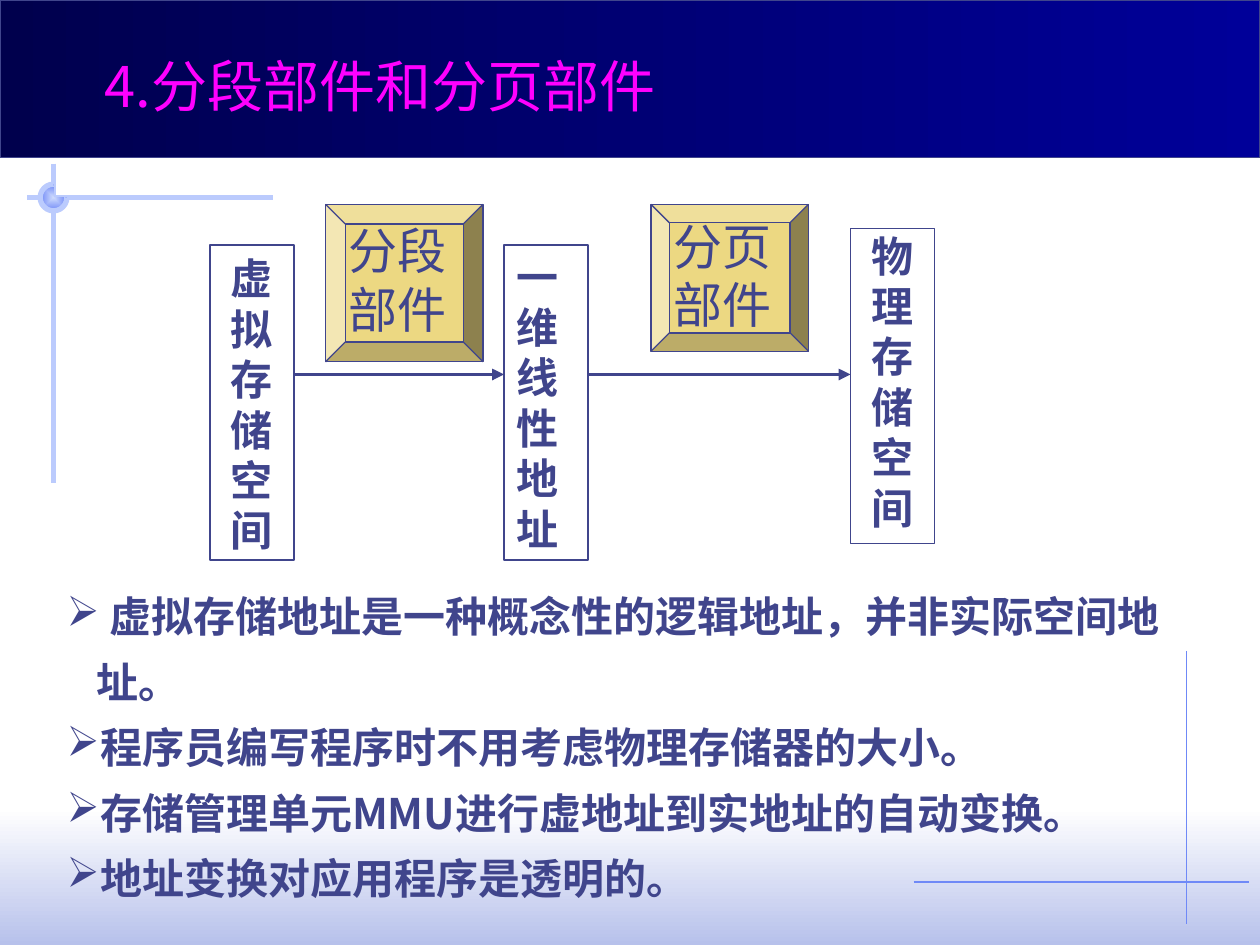
"""Build the slide on the segmentation and paging units."""
import pptx
import pptx.util
import pptx.dml.color
import pptx.enum.shapes
import pptx.oxml
import pptx.oxml.ns
import lxml.etree

Pt = pptx.util.Pt
KIND = pptx.enum.shapes.MSO_SHAPE
qn = pptx.oxml.ns.qn

HUE = {
    "ink": "40458C", "title": "FF00FF", "white": "FFFFFF", "gold": "ECD882",
    "pale": "BBCBFD", "rule": "6F89F7", "mist": "B7C1EB", "glow": "CFDBFD",
    "night": "00004D", "navy": "000099",
}
SANS, SERIF = "Noto Sans CJK SC", "Times New Roman"

TITLE = "4.分段部件和分页部件"
POINTS = [
    " 虚拟存储地址是一种概念性的逻辑地址，并非实际空间地址。",
    "程序员编写程序时不用考虑物理存储器的大小。",
    "存储管理单元MMU进行虚地址到实地址的自动变换。",
    "地址变换对应用程序是透明的。",
]
SPACES = [
    ("虚拟存储空间", (120, 140), (124.75, 141, 43, 180)),
    ("一维线性地址", (288, 140), (288, 140, 49, 180)),
    ("物理存储空间", (486, 130.5), (491, 128, 43, 180)),
]
UNITS = [
    ("分段部件", (186, 116.75, 90, 90), (192, 122.5, 73.5, 75)),
    ("分页部件", (372, 116.75, 90, 84), (378, 120, 79, 75)),
]
WIDE, TALL = 48, 180
FLOW = 214
RULES = [
    ((678, 372, 678, 528), "rule", 0.75),
    ((156, 113, 15.5, 113), "pale", 3),
    ((30.75, 93.5, 30.75, 276), "pale", 3),
]
BASE = ((522, 504, 714, 504), "rule", 0.75)
KNOB = (23, 105.25, 15.25, 15.25)


def rgb(name):
    return pptx.dml.color.RGBColor.from_string(HUE[name])


def shape(slide, kind, box, fill=None, line=None, width=0.75):
    item = slide.shapes.add_shape(kind, *map(Pt, box))
    item.shadow.inherit = False
    if fill is None:
        item.fill.background()
    elif isinstance(fill, tuple):
        item.fill.gradient()
        for stop, name in zip(item.fill.gradient_stops, fill):
            stop.color.rgb = rgb(name)
    else:
        item.fill.solid()
        item.fill.fore_color.rgb = rgb(fill)
    if line:
        item.line.color.rgb = rgb(line)
        item.line.width = Pt(width)
    else:
        item.line.fill.background()
    return item


def rule(slide, ends, hue, width, arrow=False):
    straight = pptx.enum.shapes.MSO_CONNECTOR.STRAIGHT
    item = slide.shapes.add_connector(straight, *map(Pt, ends))
    item.line.color.rgb = rgb(hue)
    item.line.width = Pt(width)
    if arrow:
        line = item.line._get_or_add_ln()
        lxml.etree.SubElement(line, qn("a:tailEnd"), type="triangle")
    lxml.etree.SubElement(item._element.spPr, qn("a:effectLst"))


def label(slide, box, lines, size, font, hue="ink", bold=False, wrap=True, mark=None):
    frame = slide.shapes.add_textbox(*map(Pt, box)).text_frame
    frame.word_wrap = wrap
    frame.text = "\n".join(lines)
    for para in frame.paragraphs:
        if mark:
            props = para._p.get_or_add_pPr()
            props.set("marL", str(Pt(17)))
            props.set("indent", str(-Pt(17)))
            lxml.etree.SubElement(props, qn("a:buChar"), char=mark)
            para.line_spacing = 1.3
        for run in para.runs:
            run.font.size = Pt(size)
            run.font.bold = bold
            run.font.name = font
            run.font.color.rgb = rgb(hue)
            east = lxml.etree.SubElement(run._r.get_or_add_rPr(), qn("a:ea"))
            east.set("typeface", SANS)


def knob(slide):
    core = shape(slide, KIND.PIE, KNOB, ("glow", "rule"))
    grad = core._element.spPr.find(qn("a:gradFill"))
    grad.remove(grad.find(qn("a:lin")))
    way = lxml.etree.SubElement(grad, qn("a:path"), path="rect")
    half = dict.fromkeys("ltrb", "50000")
    lxml.etree.SubElement(way, qn("a:fillToRect"), **half)
    ring = shape(slide, KIND.ARC, KNOB, None, "pale", 3)
    for item in (core, ring):
        item.adjustments[0] = 0
        item.adjustments[1] = 162


def main():
    deck = pptx.Presentation()
    deck.slide_width, deck.slide_height = Pt(720), Pt(540)
    slide = deck.slides.add_slide(deck.slide_layouts[6])

    foot = shape(slide, KIND.RECTANGLE, (0, 462, 720, 78), ("white", "mist"))
    foot.fill.gradient_angle = 270
    for item in RULES:
        rule(slide, *item)
    knob(slide)
    head = shape(slide, KIND.RECTANGLE, (0, 0, 720, 90), ("night", "navy"), "ink")
    head.fill.gradient_angle = 0
    rule(slide, *BASE)

    for text, box, area in UNITS:
        shape(slide, KIND.BEVEL, box, "gold", "ink")
        label(slide, area, [text], 28, SERIF)
    for text, spot, area in SPACES:
        shape(slide, KIND.RECTANGLE, (*spot, WIDE, TALL), "white", "ink")
        label(slide, area, [text], 24, SERIF, bold=True)
    for (_, left, _), (_, right, _) in zip(SPACES, SPACES[1:]):
        rule(slide, (left[0] + WIDE, FLOW, right[0], FLOW), "ink", 2.25, True)

    label(slide, (31, 325.5, 641, 194), POINTS, 24, SANS, bold=True, mark="➢")
    label(slide, (52.5, 26, 337, 46), [TITLE], 32, SANS, "title", wrap=False)
    deck.save("out.pptx")


if __name__ == "__main__":
    main()
